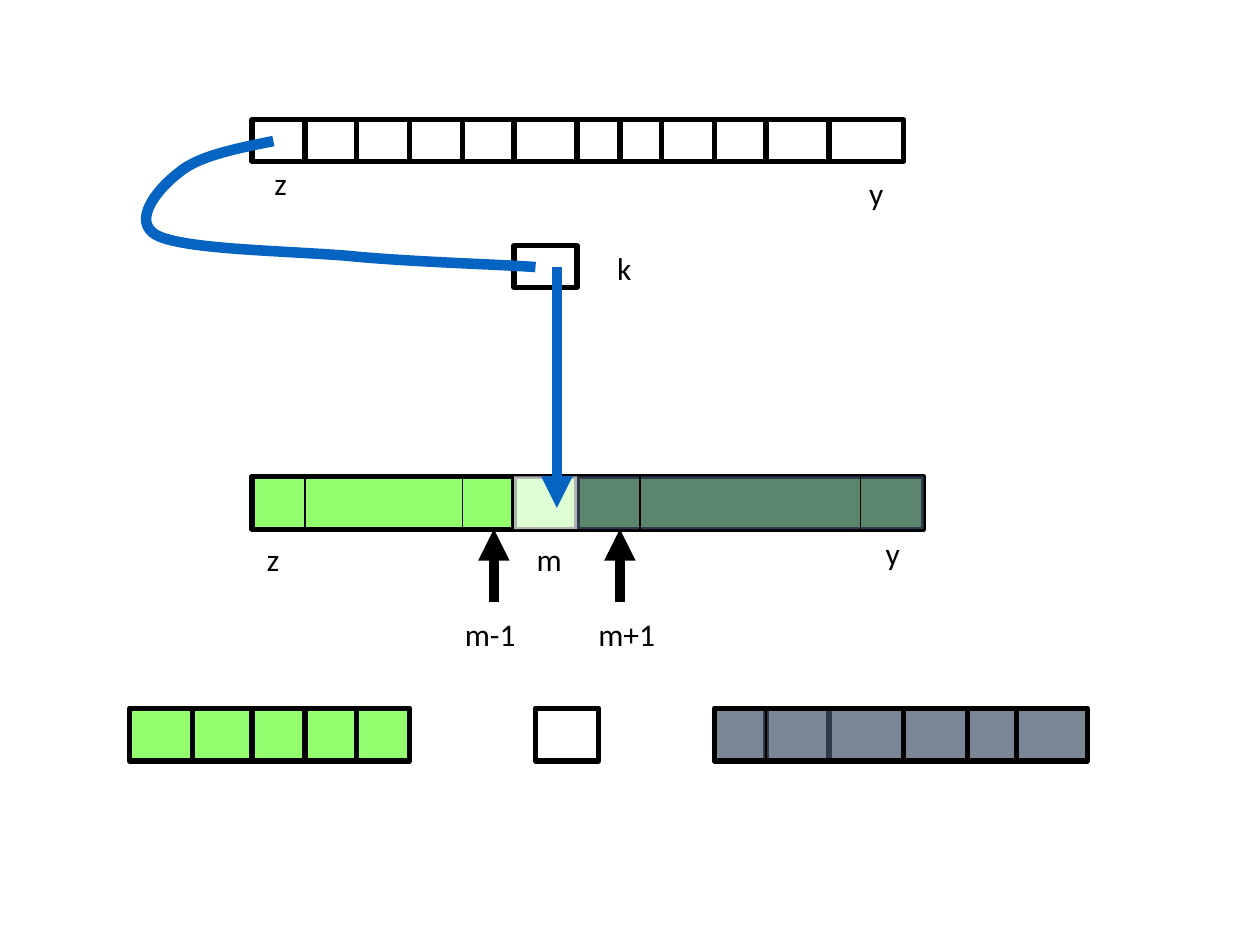
from lxml.etree import SubElement as Sub
from pptx import Presentation
from pptx.dml.color import RGBColor as RGB
from pptx.enum.shapes import MSO_CONNECTOR as Link, MSO_SHAPE as Kind
from pptx.enum.text import MSO_AUTO_SIZE as Fit
from pptx.oxml.ns import qn
from pptx.util import Inches, Pt

THEME = {
    "ink": RGB.from_string("000000"),
    "blue": RGB.from_string("0563C1"),
    "green": RGB.from_string("66FF33"),
    "white": RGB.from_string("FFFFFF"),
    "slate": RGB.from_string("44546A"),
    "alpha": "70000",
    "font": {"name": "Calibri", "size": Pt(18)},
    "thin": Pt(1), "thick": Pt(3), "heavy": Pt(6),
}

deck = Presentation()
deck.slide_width, deck.slide_height = Inches(10), Inches(7.5)
slide = deck.slides.add_slide(deck.slide_layouts[6])
shapes = slide.shapes


def box(left, top, width, height, fill=None, edge=True):
    item = shapes.add_shape(Kind.RECTANGLE, *map(Inches, (left, top, width, height)))
    item.shadow.inherit = False
    if fill:
        item.fill.solid()
        item.fill.fore_color.rgb = THEME[fill]
        tint = item._element.spPr.find(qn("a:solidFill"))[0]
        Sub(tint, qn("a:alpha"), val=THEME["alpha"])
    else:
        item.fill.background()
    if edge:
        item.line.color.rgb = THEME["ink"]
        item.line.width = THEME["thick"]
    else:
        item.line.fill.background()


def rule(x, top, end, width="thick", color="ink", head=False):
    item = shapes.add_connector(Link.STRAIGHT, *map(Inches, (x, top, x, end)))
    item.line.color.rgb = THEME[color]
    item.line.width = THEME[width]
    if head:
        Sub(item.line._get_or_add_ln(), qn("a:tailEnd"), type="triangle")
    Sub(item._element.spPr, qn("a:effectLst"))


box(2, 0.95, 5.17, 0.33)
for x in (2.42, 2.83, 3.25, 3.67, 4.08, 4.58, 4.92, 5.25, 5.67, 6.08, 6.58):
    rule(x, 0.95, 1.28)
box(4.08, 1.95, 0.5, 0.33, "white")

box(2, 3.78, 5.33, 0.42, "green")
for x in (4.08, 4.58):
    rule(x, 3.78, 4.2)
box(4.08, 3.78, 0.5, 0.42, "white", edge=False)
box(4.58, 3.78, 2.75, 0.42, "slate", edge=False)
for x in (2.42, 3.67, 5.08, 6.83):
    rule(x, 3.78, 4.2, "thin")
for x in (3.92, 4.92):
    rule(x, 4.78, 4.2, "heavy", head=True)
rule(4.42, 2.12, 4.03, "heavy", "blue", head=True)

start = (2.17, 1.12)
knots = [
    (1.87, 1.18), (1.57, 1.24), (1.42, 1.37),
    (1.26, 1.49), (1.03, 1.76), (1.25, 1.87),
    (1.47, 1.98), (2.25, 1.99), (2.75, 2.03),
    (3.25, 2.08), (4, 2.1), (4.25, 2.12),
]
pen = shapes.build_freeform(*map(Inches, start))
pen.add_line_segments([(Inches(x), Inches(y)) for x, y in knots], close=False)
curve = pen.convert_to_shape()
curve.shadow.inherit = False
curve.fill.background()
curve.line.color.rgb = THEME["blue"]
curve.line.width = THEME["heavy"]
trace = next(curve._element.iter(qn("a:path")))
for i, step in enumerate(trace.findall(qn("a:lnTo"))):
    if i % 3 == 0:
        bend = Sub(trace, qn("a:cubicBezTo"))
    bend.append(step[0])
    trace.remove(step)

box(2, 5.62, 1.25, 0.42, "green")
box(4.25, 5.62, 0.5, 0.42, "white")
box(1.03, 5.62, 0.97, 0.42, "green")
for x in (1.53, 2.42, 2.83, 6.08, 6.58):
    rule(x, 5.62, 6.03)
box(5.67, 5.62, 2.96, 0.42, "slate")
rule(6.08, 5.62, 6.03, "thin")
for x in (7.17, 7.68, 8.07):
    rule(x, 5.62, 6.03)

labels = [
    ("k", 4.8, 1.93, 0.35), ("z", 2.08, 1.25, 0.32),
    ("y", 6.8, 1.33, 0.34), ("y", 6.93, 4.19, 0.34),
    ("z", 2.02, 4.24, 0.32), ("m-1", 3.59, 4.83, 0.65),
    ("m+1", 4.65, 4.83, 0.73), ("m", 4.16, 4.24, 0.42),
]
for text, left, top, width in labels:
    frame = shapes.add_textbox(*map(Inches, (left, top, width, 0.4))).text_frame
    frame.word_wrap = False
    frame.auto_size = Fit.SHAPE_TO_FIT_TEXT
    run = frame.paragraphs[0].add_run()
    run.text = text
    for key, value in THEME["font"].items():
        setattr(run.font, key, value)
    run.font.color.rgb = THEME["ink"]

deck.save("out.pptx")
